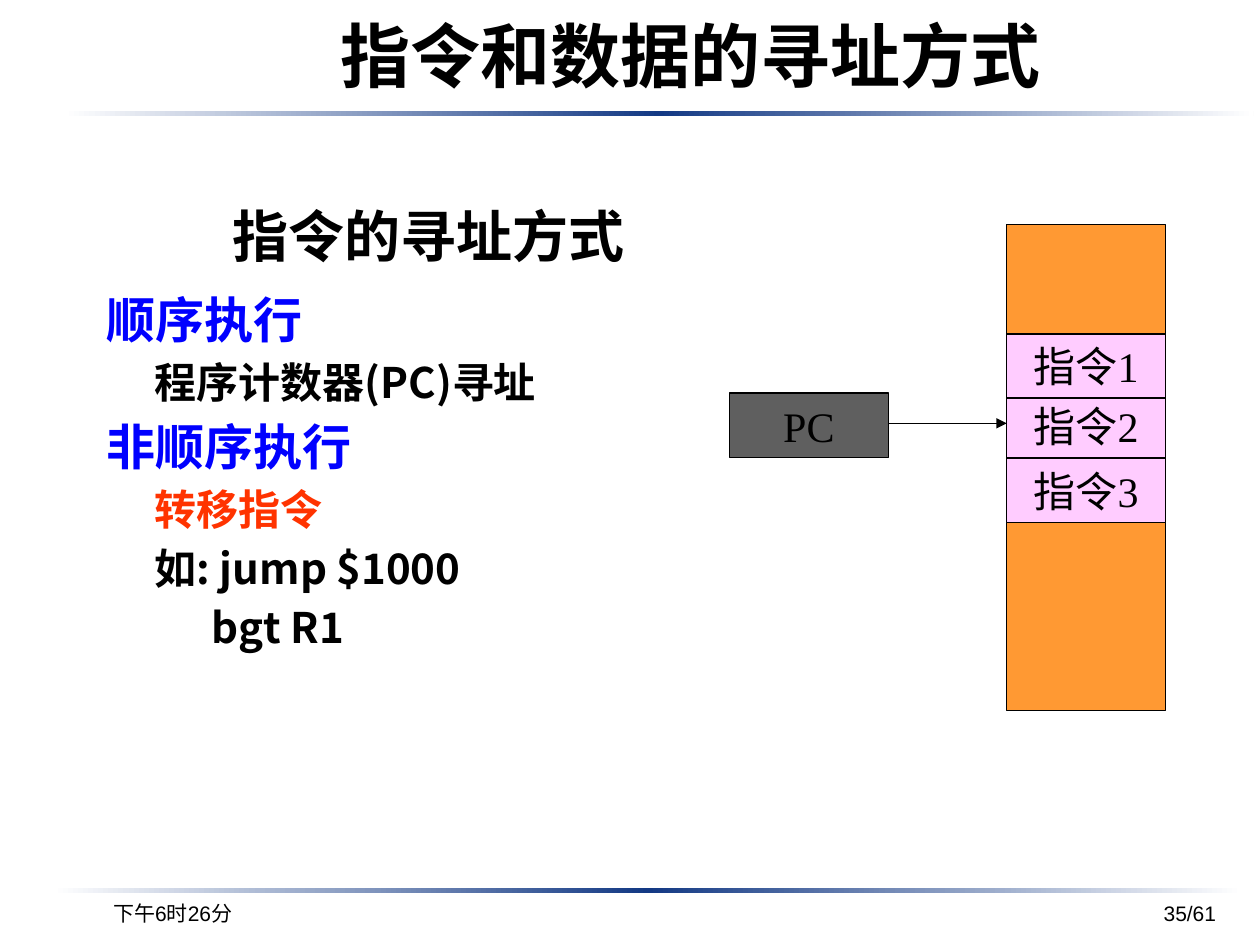
from pptx import Presentation
from pptx.util import Inches, Pt
from pptx.dml.color import RGBColor
from pptx.enum.shapes import MSO_SHAPE as Shape, MSO_CONNECTOR as Conn
from pptx.enum.text import PP_ALIGN as Align, MSO_ANCHOR as Anchor
from pptx.oxml.ns import qn
from lxml.etree import SubElement

BLACK = RGBColor(0, 0, 0)
WHITE = RGBColor(255, 255, 255)
NAVY = RGBColor(0x13, 0x39, 0x84)
BLUE = RGBColor(0, 0, 255)
RED = RGBColor(0xFF, 0x33, 0)
ORANGE = RGBColor(0xFF, 0x99, 0x33)
PINK = RGBColor(0xFF, 0xCC, 0xFF)
GRAY = RGBColor(0x5F, 0x5F, 0x5F)
SANS, SERIF = "Noto Sans CJK SC", "Times New Roman"

deck = Presentation()
deck.slide_width, deck.slide_height = Inches(10), Inches(7.5)
slide = deck.slides.add_slide(deck.slide_layouts[5])
shapes = slide.shapes


def style(para, size, font, color=BLACK, bold=False):
    for run in para.runs:
        run.font.size, run.font.name = Pt(size), font
        run.font.bold, run.font.color.rgb = bold, color
        SubElement(run._r.get_or_add_rPr(), qn("a:ea"), typeface=SANS)


def box(left, top, width, height, fill, text=""):
    rect = shapes.add_shape(Shape.RECTANGLE, Inches(left), Inches(top),
                            Inches(width), Inches(height))
    rect.shadow.inherit = False
    rect.fill.solid()
    rect.fill.fore_color.rgb = fill
    rect.line.color.rgb, rect.line.width = BLACK, Pt(0.75)
    if text:
        rect.text_frame.text = text
        para = rect.text_frame.paragraphs[0]
        para.alignment = Align.CENTER
        style(para, 24, SERIF)
    return rect


# Fading rules under the title and above the footer
for left, top in [(0.51, 0.88), (0.42, 7.05)]:
    for half in range(2):
        bar = box(left + half * 4.72, top, 4.72, 0.04, WHITE)
        bar.line.fill.background()
        bar.fill.gradient()
        bar.fill.gradient_angle = 0
        ends = [NAVY, WHITE] if half else [WHITE, NAVY]
        for stop, color, pos in zip(bar.fill.gradient_stops, ends, (0, 1)):
            stop.color.rgb, stop.position = color, pos

# Title
title = shapes.title
title.left, title.top = Inches(2.29), Inches(0.05)
title.width, title.height = Inches(6.38), Inches(0.77)
title.text_frame.text = "指令和数据的寻址方式"
title.text_frame.vertical_anchor = Anchor.MIDDLE
title.text_frame.paragraphs[0].alignment = Align.CENTER
style(title.text_frame.paragraphs[0], 40, SANS, bold=True)

# Outline: text, size, colour, left margin, first-line indent, space before
lines = [
    ("指令的寻址方式", 32, BLACK, 1.25, -0.25, 6),
    ("顺序执行", 28, BLUE, 0.38, -0.38, 5.6),
    ("程序计数器(PC)寻址", 24, BLACK, 0.38, 0, 4.8),
    ("非顺序执行", 28, BLUE, 0.38, -0.38, 5.6),
    ("转移指令", 24, RED, 0.38, 0, 4.8),
    ("如: jump $1000", 24, BLACK, 0.38, 0, 4.8),
    ("bgt R1", 24, BLACK, 0.83, 0, 4.8),
]
body = shapes.add_textbox(Inches(0.75), Inches(1.55), Inches(8.5), Inches(4.5))
frame = body.text_frame
frame.word_wrap = True
frame.text = "\n".join(line[0] for line in lines)
for para, (_, size, color, margin, indent, gap) in zip(frame.paragraphs, lines):
    style(para, size, SANS, color, True)
    para.space_before = Pt(gap)
    props = para._p.get_or_add_pPr()
    props.set("marL", str(Inches(margin)))
    props.set("indent", str(Inches(indent)))
frame.paragraphs[0].space_after = Pt(6)

# Memory column with its instructions, and the program counter
box(7.99, 1.78, 1.26, 3.86, ORANGE)
for top, text in [(3.12, "指令2"), (3.64, "指令3"), (2.65, "指令1")]:
    box(7.99, top, 1.26, 0.51, PINK, text)
box(5.79, 3.12, 1.26, 0.51, GRAY, "PC")

# Arrow from the counter to memory
arrow = shapes.add_connector(Conn.STRAIGHT, Inches(7.05), Inches(3.36),
                             Inches(7.99), Inches(3.36))
arrow.line.color.rgb, arrow.line.width = BLACK, Pt(0.75)
SubElement(arrow.line._get_or_add_ln(), qn("a:tailEnd"), type="triangle")
SubElement(arrow._element.spPr, qn("a:effectLst"))

# Footer
for left, text, align in [(7.67, "35/61", Align.RIGHT),
                          (0.33, "下午6时26分", Align.CENTER)]:
    foot = shapes.add_textbox(Inches(left), Inches(7), Inches(2.08), Inches(0.5))
    foot.text_frame.word_wrap = True
    foot.text_frame.text = text
    foot.text_frame.vertical_anchor = Anchor.MIDDLE
    foot.text_frame.paragraphs[0].alignment = align
    style(foot.text_frame.paragraphs[0], 12, "Arial")

deck.save("out.pptx")
